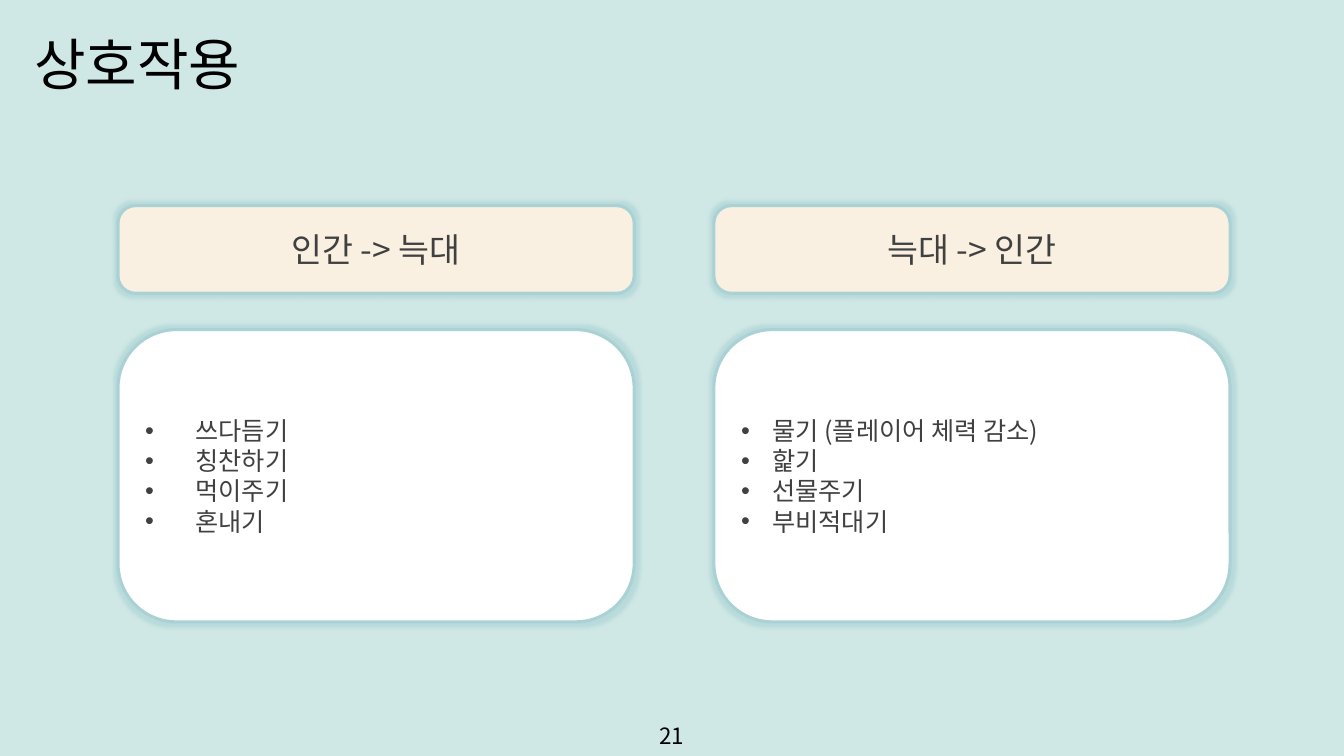
"""Builds the interaction slide with two headed list panels."""
from lxml import etree
from pptx import Presentation
from pptx import util as u
from pptx.dml.color import RGBColor
from pptx.enum import shapes, text
from pptx.oxml import parse_xml
from pptx.oxml.ns import nsdecls, qn


def colour(value):
    return RGBColor.from_string(value)


def write(para, words, size=18, ink="404040", font="Noto Sans CJK KR", align=text.PP_ALIGN.LEFT):
    para.alignment = align
    para.space_before = u.Pt(0)
    span = para.add_run()
    span.text = words
    span.font.size = u.Pt(size)
    span.font.name = font
    span.font.color.rgb = colour(ink)
    etree.SubElement(span.font._element, qn("a:ea"), typeface=font)


class Board:
    ink = "000000"
    edge = "AAD2D5"
    back = "CFE8E5"

    def __init__(self, deck):
        self.slide = deck.slides.add_slide(deck.slide_layouts[3])
        self.slide.background.fill.solid()
        self.slide.background.fill.fore_color.rgb = colour(self.back)

    def place(self, box, left, top, width, height, anchor=text.MSO_ANCHOR.MIDDLE):
        box.left, box.top = u.Inches(left), u.Inches(top)
        box.width, box.height = u.Inches(width), u.Inches(height)
        frame = box.text_frame
        frame.auto_size = text.MSO_AUTO_SIZE.NONE
        frame.word_wrap = True
        frame.vertical_anchor = anchor
        return frame

    def title(self, words):
        frame = self.place(self.slide.shapes.title, 0.24, 0.24, 2.24, 0.77,
                           text.MSO_ANCHOR.TOP)
        frame.margin_right = u.Inches(0)
        write(frame.paragraphs[0], words, size=40, ink=self.ink)

    def style_panel(self, box, fill):
        box.adjustments[0] = 0.2
        box.fill.solid()
        box.fill.fore_color.rgb = colour(fill)
        box.line.color.rgb = colour(self.edge)
        box.line.width = u.Pt(2.25)
        box.shadow.inherit = False
        effects = box._element.spPr.find(qn("a:effectLst"))
        glow = etree.SubElement(effects, qn("a:glow"), rad=str(u.Pt(5)))
        tint = etree.SubElement(glow, qn("a:srgbClr"), val=self.edge)
        etree.SubElement(tint, qn("a:alpha"), val="60000")

    def heading(self, words, left, top, width, height):
        box = self.slide.shapes.add_shape(shapes.MSO_SHAPE.ROUNDED_RECTANGLE, 0, 0, 0, 0)
        frame = self.place(box, left, top, width, height)
        self.style_panel(box, "F9F0E1")
        write(frame.paragraphs[0], words, size=24, align=text.PP_ALIGN.CENTER)

    def bullets(self, box, items, indent, left, top, width, height):
        frame = self.place(box, left, top, width, height)
        box._element.spPr.append(parse_xml(
            f'<a:prstGeom {nsdecls("a")} prst="roundRect"><a:avLst/></a:prstGeom>'))
        self.style_panel(box, "FFFFFF")
        for index, item in enumerate(items):
            para = frame.add_paragraph() if index else frame.paragraphs[0]
            write(para, item)
            props = para._p.get_or_add_pPr()
            props.set("marL", str(u.Inches(indent)))
            props.set("indent", str(-u.Inches(indent)))
            etree.SubElement(props, qn("a:buFont"), typeface="Arial")
            etree.SubElement(props, qn("a:buChar"), char="•")

    def page_number(self, words):
        box = self.slide.shapes.add_textbox(0, 0, 0, 0)
        frame = self.place(box, 6.18, 7.1, 0.97, 0.4)
        write(frame.paragraphs[0], words, size=16, ink=self.ink, align=text.PP_ALIGN.CENTER)


def main():
    deck = Presentation()
    deck.slide_width, deck.slide_height = u.Inches(13.33), u.Inches(7.5)
    board = Board(deck)
    board.title("상호작용")
    columns = [
        ("인간 -> 늑대", 0.5, ["쓰다듬기", "칭찬하기", "먹이주기", "혼내기"]),
        ("늑대 -> 인간", 0.31, ["물기 (플레이어 체력 감소)", "핥기", "선물주기", "부비적대기"]),
    ]
    for index, (heading, indent, items) in enumerate(columns):
        left = 1.17 + index * 5.91
        board.heading(heading, left, 2.04, 5.12, 0.87)
        body = board.slide.placeholders[index + 1]
        board.bullets(body, items, indent, left, 3.27, 5.12, 2.9)
    board.page_number("21")
    deck.save("out.pptx")


if __name__ == "__main__":
    main()
